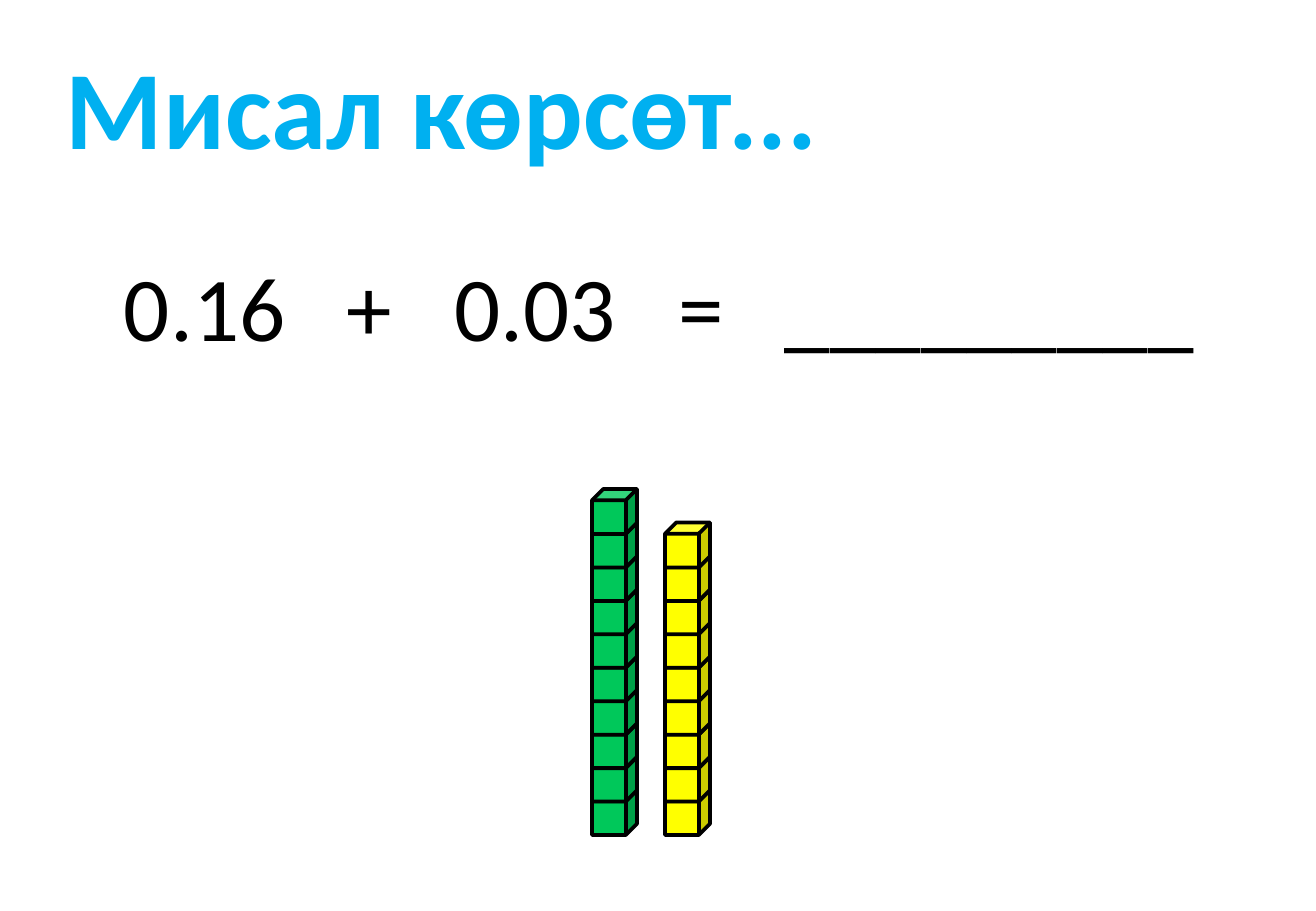
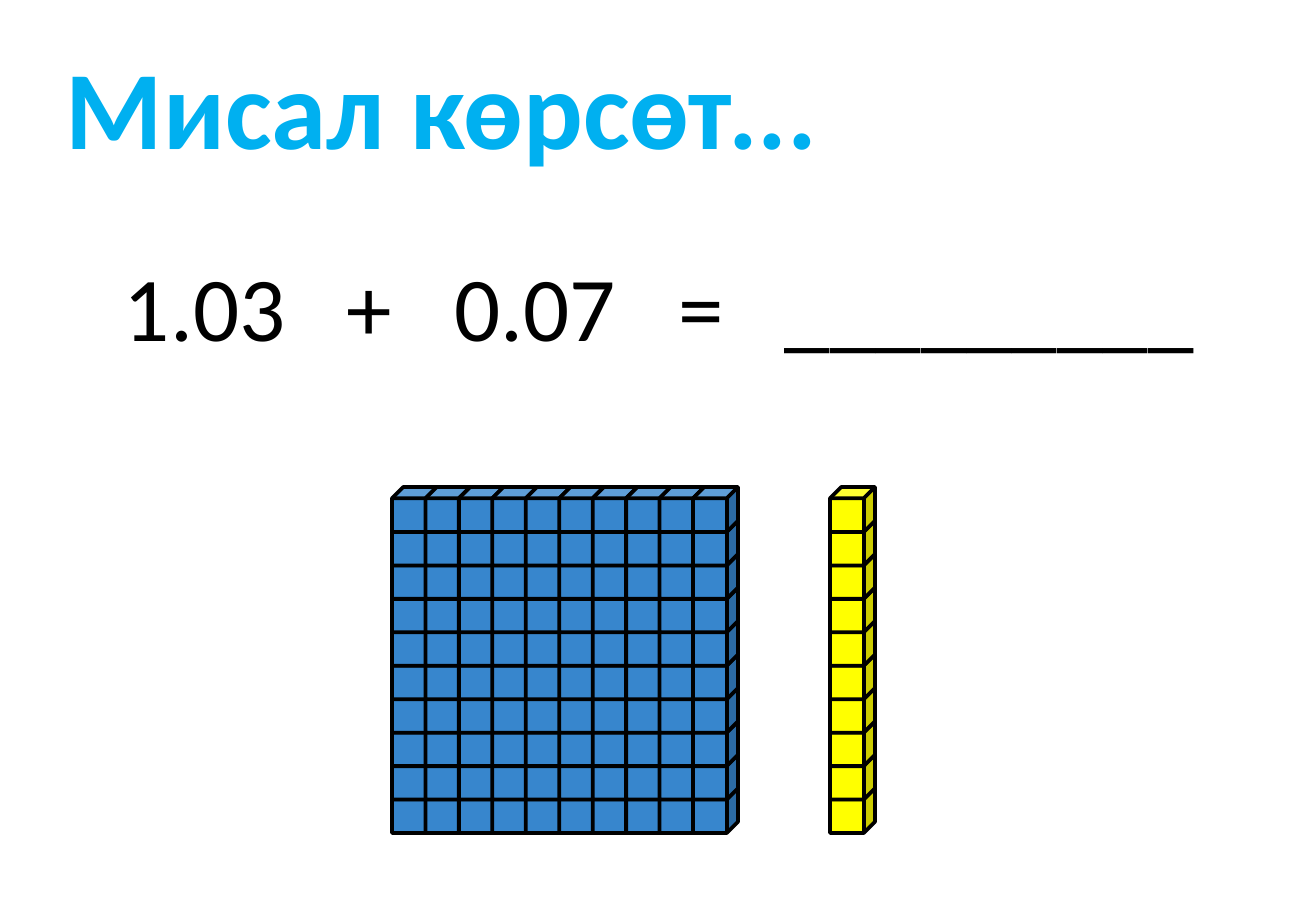
import pptx
import pptx.dml.color
import pptx.enum.shapes
import pptx.enum.text
import pptx.oxml
import pptx.oxml.ns
import pptx.util

EMU_PER_PX = 914400 / 121.5
SLIDE_SIZE = (1316, 911)

BLACK, SKY = "000000", "00B0F0"
YELLOW, GREEN, BLUE = "FFFF00", "00C85A", "3786CD"

TITLE = "Мисал көрсөт..."
TITLE_AT, TITLE_INSET = (29, 32, 916, 147), 37
TITLE_FONT = {"name": "Calibri", "size": pptx.util.Pt(66), "bold": True}

SUM_AT, SUM_INSET = (106, 244, 1106, 123), 18
SUM_FONT = {"name": "Calibri", "size": pptx.util.Pt(54)}
SUM_TABS = (223, 330, 554, 661)

CUBE = 45
CUBE_STEP = 301 / 9  # ten cubes leave nine steps from first to last

# Each block: left edge, columns, rows, colour, grouped
SLIDES = [
    {
        "sum": ("0.16", "+", "0.03", "=", "_________"),
        "bottom_cube": 790,
        "blocks": [(665, 1, 9, YELLOW, False), (592, 1, 10, GREEN, True)],
    },
    {
        "sum": ("1.03", "+", "0.07", "=", "_________"),
        "bottom_cube": 788,
        "blocks": [(830, 1, 10, YELLOW, False), (392, 10, 10, BLUE, True)],
    },
]


def px(length):
    return pptx.util.Emu(round(length * EMU_PER_PX))


def colour(value):
    return pptx.dml.color.RGBColor.from_string(value)


def add_text(page, at, inset, text, font, ink, tabs=()):
    box = page.shapes.add_textbox(*map(px, at))
    frame = box.text_frame
    frame.word_wrap = True
    frame.auto_size = pptx.enum.text.MSO_AUTO_SIZE.SHAPE_TO_FIT_TEXT
    frame.margin_left, frame.margin_right = px(inset), 0
    para = frame.paragraphs[0]
    if tabs:
        add_tabs(para, tabs)
    span = para.add_run()
    span.text = text
    for name, value in font.items():
        setattr(span.font, name, value)
    span.font.color.rgb = colour(ink)


def add_tabs(para, stops):
    properties = para._p.get_or_add_pPr()
    tab_list = pptx.oxml.parse_xml(f"<a:tabLst {pptx.oxml.ns.nsdecls('a')}/>")
    for stop in stops:
        tab = tab_list.makeelement(pptx.oxml.ns.qn("a:tab"), {"pos": str(px(stop)), "algn": "l"})
        tab_list.append(tab)
    properties.append(tab_list)


def add_block(page, left, bottom_cube, columns, rows, fill, grouped):
    """Stack cubes upwards, column by column, so nearer ones overlap correctly."""
    shapes = page.shapes.add_group_shape().shapes if grouped else page.shapes
    for column in range(columns):
        for row in range(rows):
            cube = shapes.add_shape(
                pptx.enum.shapes.MSO_SHAPE.CUBE,
                px(left + column * CUBE_STEP),
                px(bottom_cube - row * CUBE_STEP),
                px(CUBE),
                px(CUBE),
            )
            cube.shadow.inherit = False
            cube.fill.solid()
            cube.fill.fore_color.rgb = colour(fill)
            cube.line.color.rgb = colour(BLACK)
            cube.line.width = pptx.util.Pt(2.25)


def main():
    deck = pptx.Presentation()
    deck.slide_width, deck.slide_height = map(px, SLIDE_SIZE)
    for content in SLIDES:
        page = deck.slides.add_slide(deck.slide_layouts[6])
        add_text(page, SUM_AT, SUM_INSET, "\t".join(content["sum"]), SUM_FONT, BLACK, SUM_TABS)
        for left, columns, rows, fill, grouped in content["blocks"]:
            add_block(page, left, content["bottom_cube"], columns, rows, fill, grouped)
        add_text(page, TITLE_AT, TITLE_INSET, TITLE, TITLE_FONT, SKY)
    deck.save("out.pptx")


if __name__ == "__main__":
    main()
